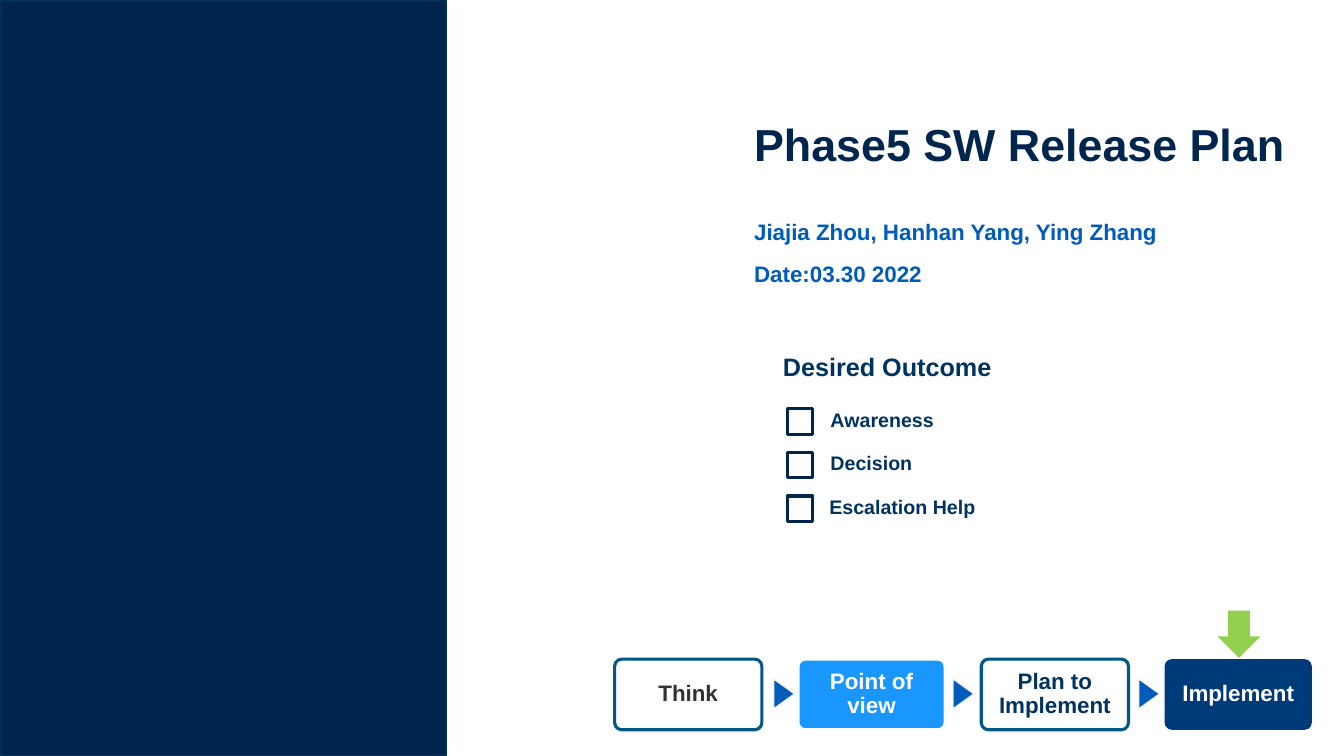
from pptx import Presentation
from pptx import util as u
from pptx.dml.color import RGBColor
from pptx.enum import shapes, text

NAVY = RGBColor(0x00, 0x26, 0x4E)
PANEL_EDGE = RGBColor(0x00, 0x33, 0x5D)
INK = RGBColor(0x00, 0x34, 0x5E)
CHARCOAL = RGBColor(0x2F, 0x33, 0x38)
BLUE = RGBColor(0x00, 0x5B, 0xBA)
SKY = RGBColor(0x19, 0x97, 0xFF)
ROYAL = RGBColor(0x00, 0x3B, 0x79)
TEAL = RGBColor(0x01, 0x58, 0x86)
GREEN = RGBColor(0x92, 0xD0, 0x50)
PALE = RGBColor(0xF2, 0xF2, 0xF2)
WHITE = RGBColor(0xFF, 0xFF, 0xFF)

SHAPE = shapes.MSO_SHAPE


def set_attributes(target, values):
    for name, value in values.items():
        setattr(target, name, value)


class SlideBuilder:
    """Holds the text style and the slide being built."""

    font = {"name": "Arial", "bold": True}
    frame = {"word_wrap": True, "auto_size": text.MSO_AUTO_SIZE.NONE,
             "vertical_anchor": text.MSO_ANCHOR.MIDDLE}

    def __init__(self, slide):
        self.slide = slide

    def fill_text(self, shape, lines, size, color, **paragraph_format):
        frame = shape.text_frame
        set_attributes(frame, self.frame)
        frame.text = "\n".join(lines)
        layout = {"alignment": text.PP_ALIGN.LEFT, "space_before": u.Pt(0),
                  **paragraph_format}
        for paragraph in frame.paragraphs:
            set_attributes(paragraph, layout)
            for run in paragraph.runs:
                set_attributes(run.font, {**self.font, "size": u.Pt(size)})
                run.font.color.rgb = color

    def placeholder(self, index, box, lines, size, color, **paragraph_format):
        shape = self.slide.placeholders[index]
        names = ("left", "top", "width", "height")
        set_attributes(shape, dict(zip(names, map(u.Cm, box))))
        self.fill_text(shape, lines, size, color, **paragraph_format)

    def label(self, box, words, size, color):
        shape = self.slide.shapes.add_textbox(*map(u.Cm, box))
        self.fill_text(shape, [words], size, color)

    def shape(self, kind, box, fill=None, line=None, width=1.0, rotation=0):
        shape = self.slide.shapes.add_shape(kind, *map(u.Cm, box))
        shape.shadow.inherit = False
        shape.rotation = rotation
        for part, color in ((shape.fill, fill), (shape.line.fill, line)):
            if color is None:
                part.background()
            else:
                part.solid()
                part.fore_color.rgb = color
        if line is not None:
            shape.line.width = u.Pt(width)
        return shape

    def step(self, box, words, color, fill, line):
        shape = self.shape(SHAPE.ROUNDED_RECTANGLE, box, fill, line, 2.25)
        shape.adjustments[0] = 0.1
        self.fill_text(shape, [words], 16, color, line_spacing=0.9,
                       alignment=text.PP_ALIGN.CENTER)


def main():
    presentation = Presentation()
    set_attributes(presentation, {"slide_width": u.Cm(33.87),
                                  "slide_height": u.Cm(19.05)})
    slide = presentation.slides.add_slide(presentation.slide_layouts[0])
    builder = SlideBuilder(slide)

    # Side panel
    builder.shape(SHAPE.RECTANGLE, (0, 0, 11.25, 19.05), NAVY, PANEL_EDGE)

    # Title, authors and date
    builder.placeholder(0, (18.75, 2.11, 16.38, 3),
                        ["Phase5 SW Release Plan"], 32, NAVY)
    builder.placeholder(1, (18.75, 5.05, 12.6, 2.64),
                        ["Jiajia Zhou, Hanhan Yang, Ying Zhang",
                         "Date:03.30 2022"], 16, BLUE, space_after=u.Pt(10.8))

    # Desired outcome checklist
    builder.label((19.48, 8.41, 8.69, 1.63), "Desired Outcome", 18, INK)
    outcomes = (("Awareness", 20.68), ("Decision", 20.68),
                ("Escalation Help", 20.65))
    for row, (outcome, left) in enumerate(outcomes):
        offset = 1.1 * row
        builder.shape(SHAPE.RECTANGLE, (19.84, 10.3 + offset, 0.64, 0.64),
                      line=NAVY, width=2.25)
        builder.label((left, 9.75 + offset, 6.15, 1.63), outcome, 14, INK)

    # Process steps
    steps = (("Think", CHARCOAL, None, TEAL),
             ("Point of view", WHITE, SKY, WHITE),
             ("Plan to Implement", INK, None, TEAL),
             ("Implement", WHITE, ROYAL, None))
    for column, (words, color, fill, line) in enumerate(steps):
        builder.step((15.49 + 4.62 * column, 16.61, 3.71, 1.78),
                     words, color, fill, line)

    # Arrows between the steps and marker of the current one
    for left in (19.38, 23.9, 28.58):
        builder.shape(SHAPE.ISOSCELES_TRIANGLE, (left, 17.22, 0.76, 0.53),
                      BLUE, PALE, rotation=90)
    builder.shape(SHAPE.DOWN_ARROW, (30.68, 15.39, 1.09, 1.19), GREEN)

    presentation.save("out.pptx")


if __name__ == "__main__":
    main()
